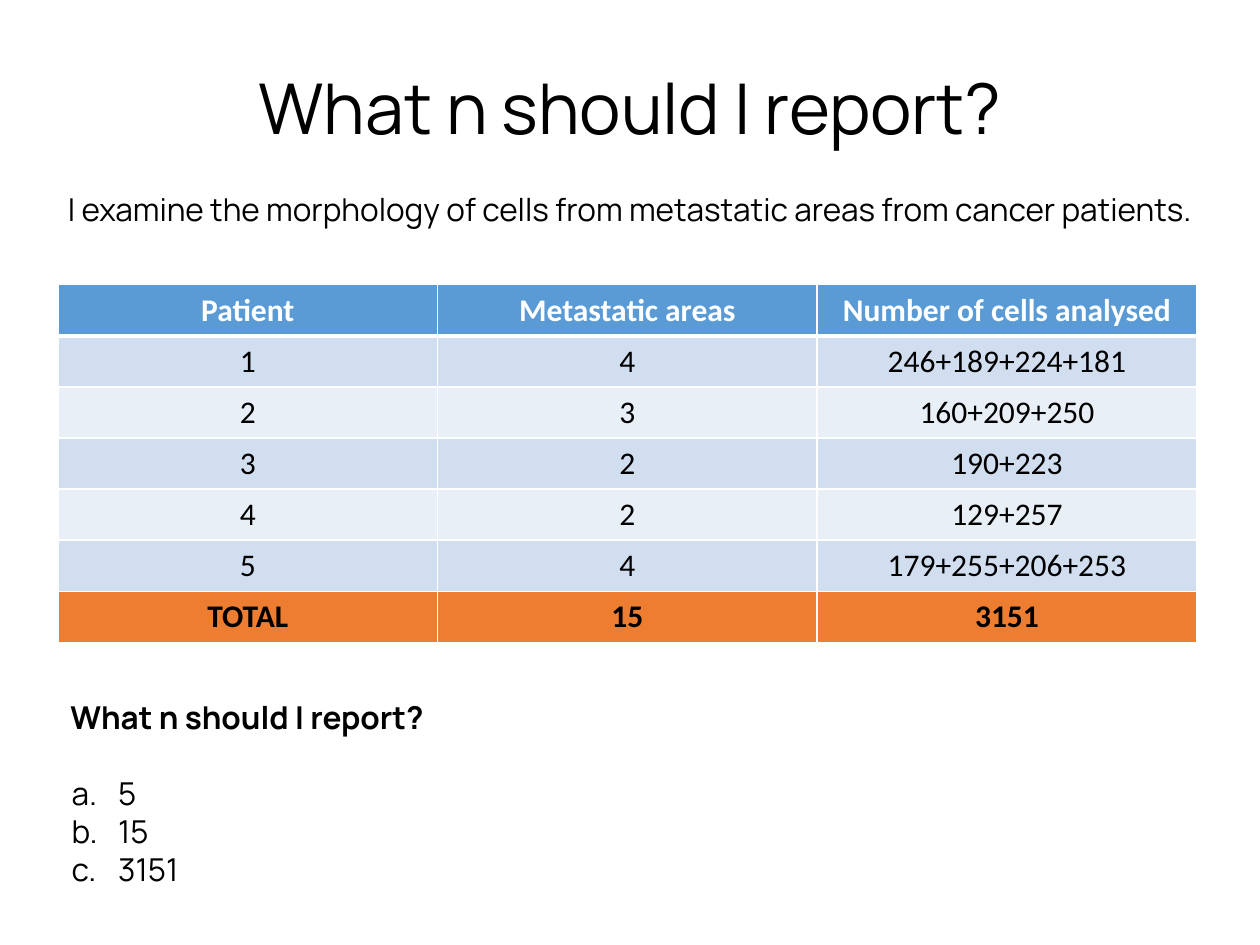
from dataclasses import dataclass

from lxml.etree import SubElement
from pptx import Presentation
from pptx.dml.color import RGBColor
from pptx.enum.text import MSO_ANCHOR, PP_ALIGN
from pptx.oxml.ns import qn
from pptx.util import Inches, Pt


@dataclass(frozen=True)
class Theme:
    """Colours, fonts and type sizes of the slide."""
    text: str = "000000"
    white: str = "FFFFFF"
    header: str = "5B9BD5"
    bands: tuple = ("D1DEEF", "E9EFF7")
    total: str = "ED7D31"
    text_font: str = "Manrope"
    table_font: str = "Calibri"
    title_size: int = 40
    body_size: int = 18
    line_gap: int = 22
    border: float = 0.96
    header_border: float = 3


THEME = Theme()
QUESTION = "What n should I report?"
ANSWERS = ("5", "15", "3151")
ROWS = (
    ("Patient", "Metastatic areas", "Number of cells analysed"),
    ("1", "4", "246+189+224+181"),
    ("2", "3", "160+209+250"),
    ("3", "2", "190+223"),
    ("4", "2", "129+257"),
    ("5", "4", "179+255+206+253"),
    ("TOTAL", "15", "3151"),
)


def add_run(p, text, color=THEME.text, **fmt):
    """Add a run to a paragraph and set its font from format values."""
    r = p.add_run()
    r.text = text
    base = {"name": THEME.text_font, "size": Pt(THEME.body_size), "bold": False}
    for name, value in (base | fmt).items():
        setattr(r.font, name, value)
    r.font.color.rgb = RGBColor.from_string(color)


def add_text(s, left, top, width, height):
    """Add a wrapping text box and return its text frame."""
    box = s.shapes.add_textbox(*map(Inches, (left, top, width, height)))
    tf = box.text_frame
    tf.word_wrap = True
    return tf


def add_heading(s, text, top, height, size):
    """Add a centred line of text across the slide."""
    p = add_text(s, 0.13, top, 9.74, height).paragraphs[0]
    p.alignment = PP_ALIGN.CENTER
    add_run(p, text, size=Pt(size))


def set_border(cell, side, width):
    """Draw one white border line of a table cell."""
    ln = SubElement(cell._tc.get_or_add_tcPr(), qn(f"a:{side}"), w=str(Pt(width)))
    fill = SubElement(ln, qn("a:solidFill"))
    SubElement(fill, qn("a:srgbClr"), val=THEME.white)


def style_cell(cell, text, row):
    """Write one table cell with the borders, fill and font of its row."""
    header, total = row == 0, row == len(ROWS) - 1
    widths = {
        "lnL": THEME.border,
        "lnR": THEME.border,
        "lnT": THEME.header_border if row == 1 else THEME.border,
        "lnB": THEME.header_border if header else THEME.border,
    }
    for side, width in widths.items():
        set_border(cell, side, width)
    fill = THEME.header if header else THEME.total if total else THEME.bands[(row - 1) % 2]
    cell.fill.solid()
    cell.fill.fore_color.rgb = RGBColor.from_string(fill)
    cell.vertical_anchor = MSO_ANCHOR.TOP
    p = cell.text_frame.paragraphs[0]
    p.alignment = PP_ALIGN.CENTER
    add_run(p, text, THEME.white if header else THEME.text,
            name=THEME.table_font, bold=header or total)


def add_data_table(s):
    """Add the table of patients, areas and cell counts."""
    frame = s.shapes.add_table(len(ROWS), len(ROWS[0]), Inches(0.46), Inches(2.26),
                               Inches(9.04), Inches(2.84))
    for i, row in enumerate(ROWS):
        for j, text in enumerate(row):
            style_cell(frame.table.cell(i, j), text, i)


def add_quiz(s):
    """Add the question and its lettered answers."""
    tf = add_text(s, 0.46, 5.49, 3.27, 1.6)
    p = tf.paragraphs[0]
    p.space_after = Pt(THEME.line_gap)
    add_run(p, QUESTION, bold=True)
    for answer in ANSWERS:
        p = tf.add_paragraph()
        pPr = p._p.get_or_add_pPr()
        for name, value in {"marL": Inches(0.38), "indent": Inches(-0.37)}.items():
            pPr.set(name, str(value))
        SubElement(pPr, qn("a:buFont"), typeface="+mj-lt")
        SubElement(pPr, qn("a:buAutoNum"), type="alphaLcPeriod")
        add_run(p, answer)


def main():
    """Build the slide and save it."""
    prs = Presentation()
    prs.slide_width, prs.slide_height = Inches(10), Inches(7.5)
    s = prs.slides.add_slide(prs.slide_layouts[6])
    add_heading(s, QUESTION, 0.46, 0.76, THEME.title_size)
    add_heading(s, "I examine the morphology of cells from metastatic areas from cancer patients.",
                1.46, 0.4, THEME.body_size)
    add_data_table(s)
    add_quiz(s)
    prs.save("out.pptx")


if __name__ == "__main__":
    main()
